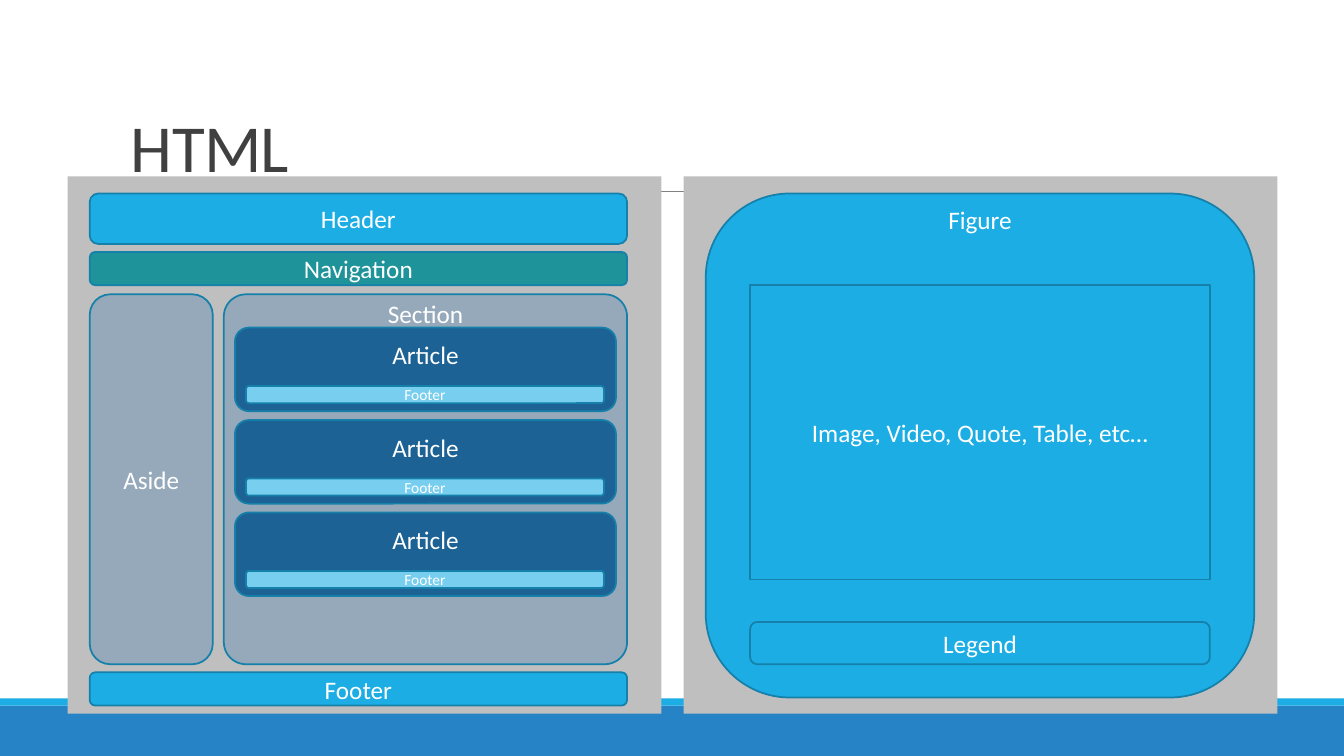
from lxml import etree
from pptx import Presentation
from pptx.dml.color import RGBColor
from pptx.enum import shapes, text
from pptx.oxml.ns import qn
from pptx.util import Inches, Pt

WHITE = RGBColor(0xFF, 0xFF, 0xFF)
TITLE = RGBColor(0x40, 0x40, 0x40)
RULE = RGBColor(0x80, 0x80, 0x80)
PANEL = RGBColor(0xBF, 0xBF, 0xBF)
BAND = RGBColor(0x26, 0x83, 0xC6)
BLUE = RGBColor(0x1C, 0xAD, 0xE4)
TEAL = RGBColor(0x1E, 0x93, 0x99)
SLATE = RGBColor(0x96, 0xA9, 0xBA)
NAVY = RGBColor(0x1D, 0x62, 0x94)
SKY = RGBColor(0x77, 0xCE, 0xEF)
OUTLINE = RGBColor(0x15, 0x80, 0xA9)

RECT = shapes.MSO_SHAPE.RECTANGLE
ROUND = shapes.MSO_SHAPE.ROUNDED_RECTANGLE
TOP = text.MSO_ANCHOR.TOP
MIDDLE = text.MSO_ANCHOR.MIDDLE
BOTTOM = text.MSO_ANCHOR.BOTTOM


def set_text(sp, words, size=18, color=WHITE, anchor=MIDDLE,
             align=text.PP_ALIGN.CENTER, inset=0):
    """Write one line of text; inset is the top and bottom margin in inches."""
    tf = sp.text_frame
    frame = {"word_wrap": True, "vertical_anchor": anchor,
             "margin_top": Inches(inset), "margin_bottom": Inches(inset)}
    for name, value in frame.items():
        setattr(tf, name, value)
    p = tf.paragraphs[0]
    p.alignment = align
    r = p.add_run()
    r.text = words
    for name, value in {"name": "Calibri", "size": Pt(size)}.items():
        setattr(r.font, name, value)
    r.font.color.rgb = color
    return p


def add_block(s, at, fill, kind=RECT, outlined=False):
    sp = s.shapes.add_shape(kind, *map(Inches, at))
    sp.shadow.inherit = False
    sp.fill.solid()
    sp.fill.fore_color.rgb = fill
    if outlined:
        sp.line.color.rgb = OUTLINE
        sp.line.width = Pt(1.25)
    else:
        sp.line.fill.background()
    return sp


def add_tag(s, words, at, fill, kind=ROUND, **fmt):
    """Outlined block that carries the name of an HTML element."""
    set_text(add_block(s, at, fill, kind, outlined=True), words, **fmt)


def add_label(s, words, at):
    set_text(s.shapes.add_textbox(*map(Inches, at)), words)


def add_rule(s, x1, x2, y):
    line = s.shapes.add_connector(shapes.MSO_CONNECTOR.STRAIGHT,
                                  Inches(x1), Inches(y), Inches(x2), Inches(y))
    line.line.color.rgb = RULE
    line.line.width = Pt(0.5)
    etree.SubElement(line._element.spPr, qn("a:effectLst"))


def add_title(s, words):
    sp = s.shapes.add_textbox(*map(Inches, (1.2, 0.31, 11, 1.59)))
    p = set_text(sp, words, 48, TITLE, BOTTOM, text.PP_ALIGN.LEFT, 0.05)
    p.line_spacing = 0.85
    p.runs[0].font._element.set("spc", "-50")


def add_page_layout(s):
    left, width = 0.89, 5.33
    add_tag(s, "Header", (left, 1.92, width, 0.5), BLUE)
    add_tag(s, "Navigation", (left, 2.5, width, 0.33), TEAL)
    add_tag(s, "Aside", (left, 2.92, 1.22, 3.67), SLATE)
    add_tag(s, "Footer", (left, 6.67, width, 0.33), BLUE)

    section = add_block(s, (2.22, 2.92, 4, 3.67), SLATE, ROUND, outlined=True)
    section.adjustments[0] = 0.06
    add_label(s, "Section", (2.22, 2.95, 4, 0.31))
    for i in range(3):
        top = 3.25 + i * 0.917
        add_tag(s, "Article", (2.33, top, 3.78, 0.83), NAVY, anchor=TOP, inset=0.08)
        add_tag(s, "Footer", (2.44, top + 0.58, 3.55, 0.17), SKY, size=11)


def add_figure_layout(s):
    add_block(s, (7, 1.92, 5.44, 5), BLUE, ROUND, outlined=True)
    add_label(s, "Figure", (7, 2.02, 5.44, 0.31))
    add_tag(s, "Image, Video, Quote, Table, etc…", (7.44, 2.83, 4.56, 2.92), BLUE, RECT)
    add_tag(s, "Legend", (7.44, 6.17, 4.56, 0.42), BLUE)


def main():
    prs = Presentation()
    prs.slide_width, prs.slide_height = Inches(13.33), Inches(7.5)
    s = prs.slides.add_slide(prs.slide_layouts[6])

    add_block(s, (0, 7, 13.33, 0.5), BAND)
    add_block(s, (0, 6.93, 13.33, 0.07), BLUE)
    add_rule(s, 1.31, 12.21, 1.9)
    add_title(s, "HTML")
    for left in (0.67, 6.78):
        add_block(s, (left, 1.75, 5.89, 5.33), PANEL)
    add_page_layout(s)
    add_figure_layout(s)
    prs.save("out.pptx")


if __name__ == "__main__":
    main()
